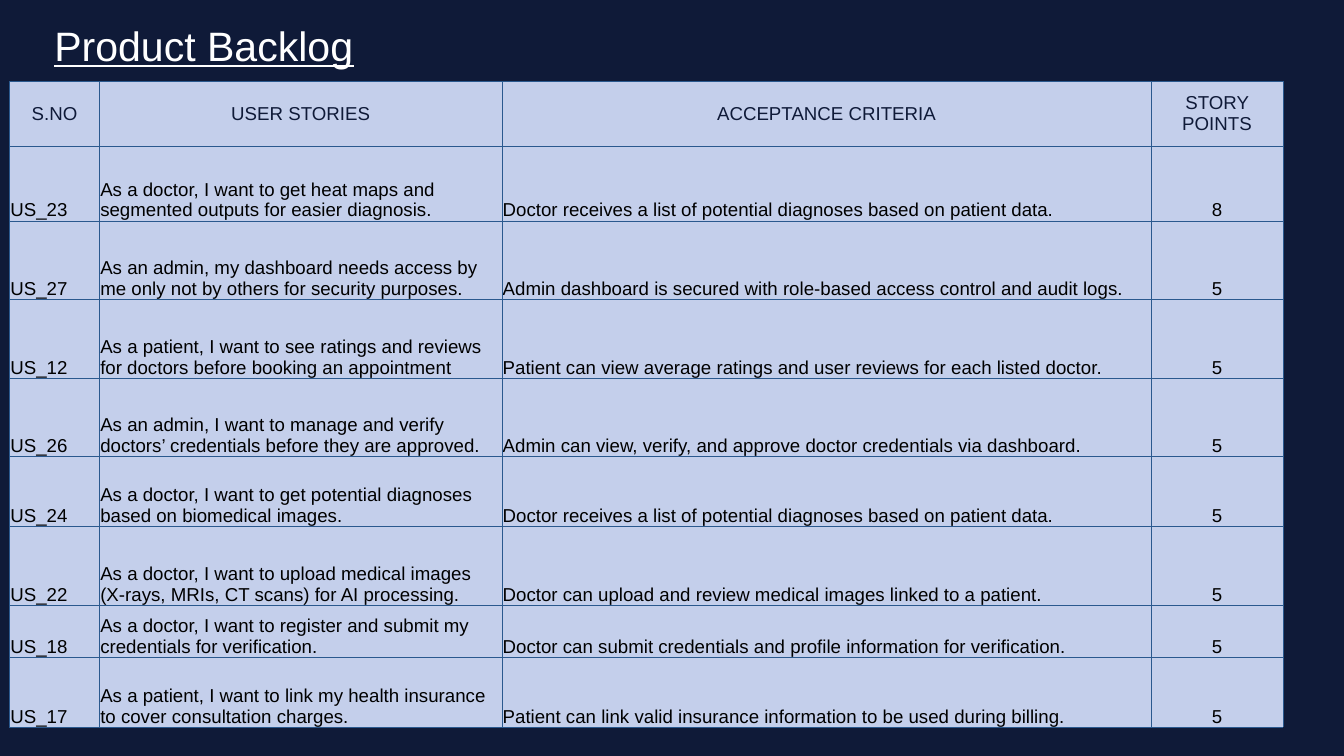
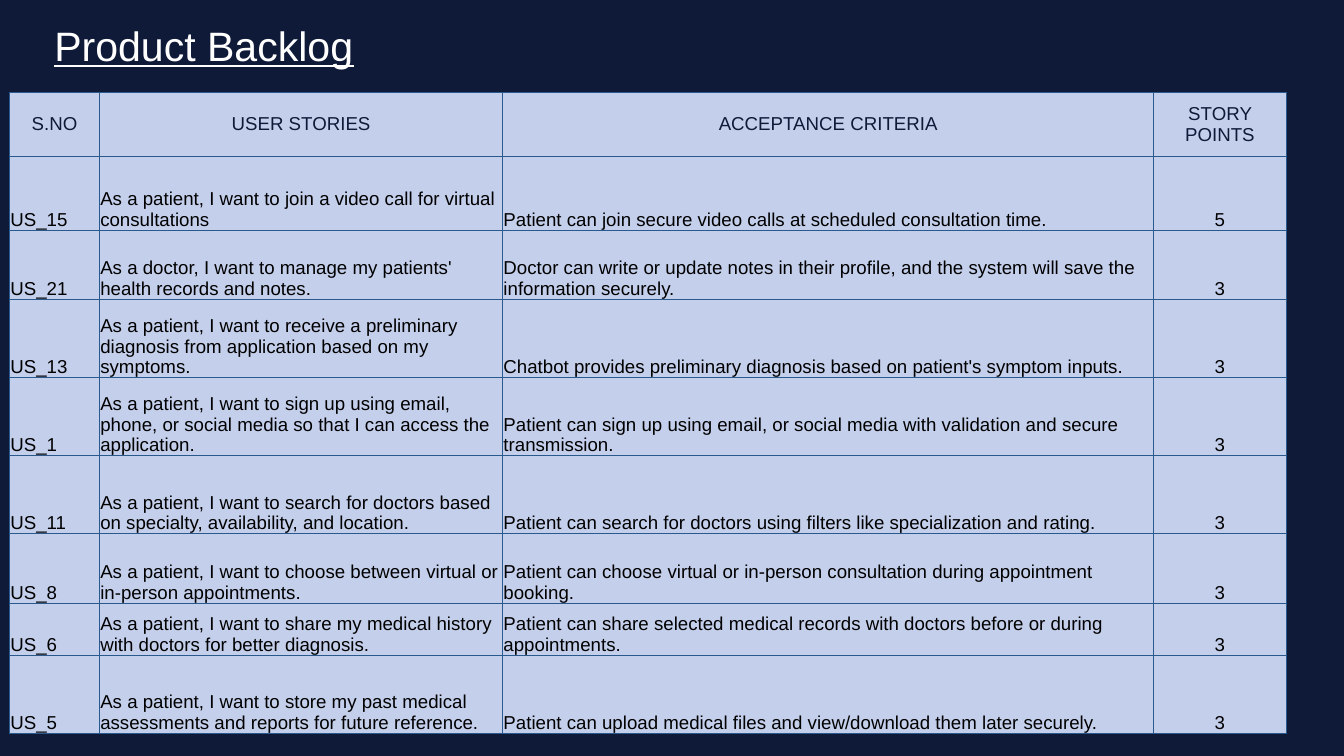
from dataclasses import dataclass

from lxml import etree
from pptx import Presentation
from pptx.dml.color import RGBColor
from pptx.enum.text import MSO_ANCHOR, MSO_AUTO_SIZE, PP_ALIGN
from pptx.oxml.ns import qn
from pptx.util import Cm, Pt

CENTER, LEFT = PP_ALIGN.CENTER, PP_ALIGN.LEFT
MIDDLE, BOTTOM = MSO_ANCHOR.MIDDLE, MSO_ANCHOR.BOTTOM
NO_AUTOFIT = MSO_AUTO_SIZE.NONE


@dataclass(frozen=True)
class Theme:
    font: str = "Arial"
    navy: str = "0F1A38"
    white: str = "FFFFFF"
    black: str = "000000"
    cell: str = "C4CFEB"
    border: str = "2A598E"
    title_size: int = 44
    table_size: int = 20
    border_width: float = 0.75


THEME = Theme()

TITLE = "Product Backlog"
HEADERS = ("S.NO", "USER STORIES", "ACCEPTANCE CRITERIA", "STORY POINTS")
POINTS_COLUMN = HEADERS.index("STORY POINTS")
TABLE_LEFT = 0.36

HIGH_PRIORITY_STORIES = [
    ("US_23", "As a doctor, I want to get heat maps and segmented outputs for easier diagnosis.",
     "Doctor receives a list of potential diagnoses based on patient data.", "8"),
    ("US_27", "As an admin, my dashboard needs access by me only not by others for security purposes.",
     "Admin dashboard is secured with role-based access control and audit logs.", "5"),
    ("US_12", "As a patient, I want to see ratings and reviews for doctors before booking an appointment",
     "Patient can view average ratings and user reviews for each listed doctor.", "5"),
    ("US_26", "As an admin, I want to manage and verify doctors’ credentials before they are approved.",
     "Admin can view, verify, and approve doctor credentials via dashboard.", "5"),
    ("US_24", "As a doctor, I want to get potential diagnoses based on biomedical images.",
     "Doctor receives a list of potential diagnoses based on patient data.", "5"),
    ("US_22", "As a doctor, I want to upload medical images (X-rays, MRIs, CT scans) for AI processing.",
     "Doctor can upload and review medical images linked to a patient.", "5"),
    ("US_18", "As a doctor, I want to register and submit my credentials for verification.",
     "Doctor can submit credentials and profile information for verification.", "5"),
    ("US_17", "As a patient, I want to link my health insurance to cover consultation charges.",
     "Patient can link valid insurance information to be used during billing.", "5"),
]

NEXT_STORIES = [
    ("US_15", "As a patient, I want to join a video call for virtual consultations",
     "Patient can join secure video calls at scheduled consultation time.", "5"),
    ("US_21", "As a doctor, I want to manage my patients' health records and notes.",
     "Doctor can write or update notes in their profile, and the system will save the information securely.",
     "3"),
    ("US_13", "As a patient, I want to receive a preliminary diagnosis from application based on my symptoms.",
     "Chatbot provides preliminary diagnosis based on patient's symptom inputs.", "3"),
    ("US_1", "As a patient, I want to sign up using email, phone, or social media so that I can access "
     "the application.",
     "Patient can sign up using email, or social media with validation and secure transmission.", "3"),
    ("US_11", "As a patient, I want to search for doctors based on specialty, availability, and location.",
     "Patient can search for doctors using filters like specialization and rating.", "3"),
    ("US_8", "As a patient, I want to choose between virtual or in-person appointments.",
     "Patient can choose virtual or in-person consultation during appointment booking.", "3"),
    ("US_6", "As a patient, I want to share my medical history with doctors for better diagnosis.",
     "Patient can share selected medical records with doctors before or during appointments.", "3"),
    ("US_5", "As a patient, I want to store my past medical assessments and reports for future reference.",
     "Patient can upload medical files and view/download them later securely.", "3"),
]


def add_span(para, text, size, color, underline=None):
    span = para.add_run()
    span.text = text
    span.font.name = THEME.font
    span.font.size = Pt(size)
    span.font.bold = False
    span.font.underline = underline
    span.font.color.rgb = RGBColor.from_string(color)


def add_title(page):
    title = page.shapes.title
    title.left, title.top = Cm(0), Cm(-0.33)
    title.width, title.height = Cm(15.42), Cm(4.09)
    frame = title.text_frame
    frame.auto_size = NO_AUTOFIT
    frame.vertical_anchor = MIDDLE
    para = frame.paragraphs[0]
    para.alignment = CENTER
    add_span(para, TITLE, THEME.title_size, THEME.white, underline=True)


def add_backlog_page(deck):
    page = deck.slides.add_slide(deck.slide_layouts[0])
    subtitle = page.placeholders[1].element
    subtitle.getparent().remove(subtitle)
    add_title(page)
    return page


def set_borders(cell):
    properties = cell._tc.get_or_add_tcPr()
    for position, side in enumerate(("a:lnL", "a:lnR", "a:lnT", "a:lnB")):
        line = etree.Element(qn(side), w=str(Pt(THEME.border_width)))
        fill = etree.SubElement(line, qn("a:solidFill"))
        etree.SubElement(fill, qn("a:srgbClr"), val=THEME.border)
        properties.insert(position, line)


def fill_cell(cell, text, is_header, centered):
    cell.fill.solid()
    cell.fill.fore_color.rgb = RGBColor.from_string(THEME.cell)
    set_borders(cell)
    inset = Cm(0 if is_header else 0.03)
    cell.margin_left = cell.margin_right = cell.margin_top = inset
    cell.margin_bottom = Cm(0)
    cell.vertical_anchor = MIDDLE if is_header else BOTTOM
    para = cell.text_frame.paragraphs[0]
    para.alignment = CENTER if centered else LEFT
    add_span(para, text, THEME.table_size, THEME.navy if is_header else THEME.black)


def add_backlog_table(page, top, widths, heights, stories):
    rows = [HEADERS, *stories]
    table = page.shapes.add_table(
        len(rows), len(HEADERS), Cm(TABLE_LEFT), Cm(top), Cm(sum(widths)), Cm(sum(heights))
    ).table
    table.first_row = table.horz_banding = False
    for column, width in zip(table.columns, widths):
        column.width = Cm(width)
    for row_index, (row, height, texts) in enumerate(zip(table.rows, heights, rows)):
        row.height = Cm(height)
        is_header = row_index == 0
        for column_index, text in enumerate(texts):
            centered = is_header or column_index == POINTS_COLUMN
            fill_cell(row.cells[column_index], text, is_header, centered)


def main():
    deck = Presentation()
    deck.slide_width, deck.slide_height = Cm(50.8), Cm(28.58)
    background = deck.slide_master.background.fill
    background.solid()
    background.fore_color.rgb = RGBColor.from_string(THEME.navy)

    add_backlog_table(
        add_backlog_page(deck), 3.07, (3.4, 15.21, 24.54, 4.98),
        (2.46, 2.82, 2.97, 2.97, 2.97, 2.64, 2.97, 1.98, 2.64), HIGH_PRIORITY_STORIES,
    )
    add_backlog_table(
        add_backlog_page(deck), 3.48, (3.4, 15.24, 24.61, 5),
        (2.44, 2.79, 2.62, 2.95, 2.95, 2.95, 2.62, 1.98, 2.95), NEXT_STORIES,
    )
    deck.save("out.pptx")


if __name__ == "__main__":
    main()
